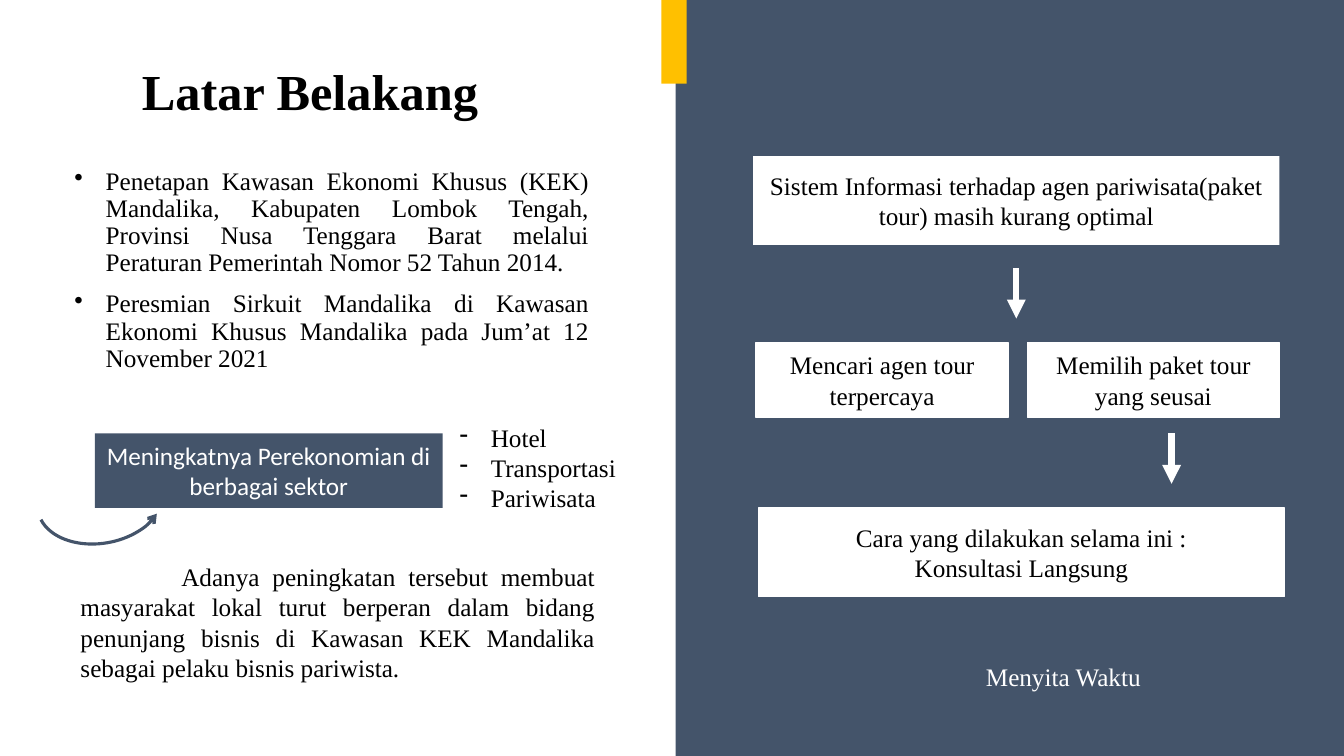
from lxml import etree
from pptx import Presentation
from pptx.dml.color import RGBColor
from pptx.enum import shapes, text
from pptx.oxml.ns import qn
from pptx.util import Inches, Pt

SERIF, SANS = "Times New Roman", "Calibri"
SLATE, GOLD, WHITE, BLACK = "44546A", "FFC000", "FFFFFF", "000000"
LEFT, CENTER, JUSTIFY = (text.PP_ALIGN.LEFT, text.PP_ALIGN.CENTER,
                         text.PP_ALIGN.JUSTIFY)

# Content: lines of text and (left, top, width, height) in inches
TITLE = "Latar Belakang"
BACKGROUND = [
    "Penetapan Kawasan Ekonomi Khusus (KEK) Mandalika, Kabupaten Lombok Tengah, "
    "Provinsi Nusa Tenggara Barat melalui Peraturan Pemerintah Nomor 52 Tahun 2014.",
    "Peresmian Sirkuit Mandalika di Kawasan Ekonomi Khusus Mandalika pada "
    "Jum’at 12 November 2021",
]
GROWTH = ["Meningkatnya Perekonomian di berbagai sektor"]
SECTORS = ["Hotel", "Transportasi", "Pariwisata"]
IMPACT = ["Adanya peningkatan tersebut membuat masyarakat lokal turut berperan "
          "dalam bidang penunjang bisnis di Kawasan KEK Mandalika sebagai pelaku "
          "bisnis pariwista."]
FLOW_BOXES = [
    (["Sistem Informasi terhadap agen pariwisata(paket tour) masih kurang optimal"],
     (7.47, 1.55, 5.22, 0.88), None),
    (["Mencari agen tour terpercaya"], (7.5, 3.4, 2.5, 0.74), WHITE),
    (["Memilih paket tour yang seusai"], (10.19, 3.4, 2.5, 0.74), WHITE),
    (["Cara yang dilakukan selama ini :", "Konsultasi Langsung"],
     (7.52, 5.04, 5.22, 0.88), WHITE),
]
FLOW_ARROWS = [(10.08, 2.66), (11.62, 4.3)]
ARROW_LENGTH = 0.5
OUTCOME = ["Menyita Waktu"]


def color(hex_code):
    return RGBColor.from_string(hex_code)


def inches(box):
    return [Inches(length) for length in box]


def write(frame, lines, ink, align=LEFT, font=SERIF, bullet=None, indent=0,
          spacing=None, before=0):
    frame.word_wrap = True
    for number, line in enumerate(lines):
        paragraph = frame.paragraphs[0] if number == 0 else frame.add_paragraph()
        paragraph.text = line
        paragraph.alignment = align
        paragraph.line_spacing = spacing
        paragraph.space_before = Pt(before)
        paragraph.font.name = font
        paragraph.font.size = Pt(18)
        paragraph.font.color.rgb = color(ink)
        properties = paragraph._p.get_or_add_pPr()
        properties.set("indent", str(Inches(indent)))
        if bullet:
            properties.set("marL", str(Inches(-indent)))
            mark = etree.Element(qn("a:buChar"), char=bullet)
            properties.find(qn("a:defRPr")).addprevious(mark)


def add_text(box, lines, ink=BLACK, **style):
    write(slide.shapes.add_textbox(*inches(box)).text_frame, lines, ink, **style)


def add_box(box, fill, outline=None, lines=(), ink=BLACK, font=SERIF):
    panel = slide.shapes.add_shape(shapes.MSO_SHAPE.RECTANGLE, *inches(box))
    panel.shadow.inherit = False
    panel.fill.solid()
    panel.fill.fore_color.rgb = color(fill)
    if outline:
        panel.line.color.rgb = color(outline)
        panel.line.width = Pt(1)
    else:
        panel.line.fill.background()
    panel.text_frame.vertical_anchor = text.MSO_ANCHOR.MIDDLE
    write(panel.text_frame, lines, ink, CENTER, font)


def style_arrow(line, ink, width, head):
    line.color.rgb = color(ink)
    line.width = Pt(width)
    etree.SubElement(line._get_or_add_ln(), qn("a:tailEnd"), type=head)


prs = Presentation()
prs.slide_width, prs.slide_height = Inches(13.33), Inches(7.5)
slide = prs.slides.add_slide(prs.slide_layouts[5])

# Title
title = slide.shapes.title
title.left, title.top, title.width, title.height = inches((0.98, 0.43, 4.19, 0.82))
write(title.text_frame, [TITLE], BLACK, CENTER, spacing=0.9)
title.text_frame.auto_size = text.MSO_AUTO_SIZE.NONE
title.text_frame.vertical_anchor = text.MSO_ANCHOR.BOTTOM
title_font = title.text_frame.paragraphs[0].font
title_font.size, title_font.bold = Pt(36), True

# Left half: background, growing sectors and their impact
add_text((0.64, 1.62, 5.3, 2.34), BACKGROUND, align=JUSTIFY, bullet="•",
         indent=-0.31, spacing=0.9, before=10)
add_box((0.94, 4.3, 3.45, 0.74), SLATE, lines=GROWTH, ink=WHITE, font=SANS)
add_text((4.46, 4.14, 1.87, 1.01), SECTORS, bullet="-", indent=-0.31)
add_text((0.7, 5.52, 5.3, 1.31), IMPACT, align=JUSTIFY, indent=1)

# Curved arrow up to the growth box
curve = slide.shapes.add_shape(shapes.MSO_SHAPE.ARC, *inches((0.57, 4.34, 0.85, 1.25)))
curve.shadow.inherit = False
curve.adjustments[0], curve.adjustments[1] = 166.87, 40.24
curve.rotation = 80.2
curve._element.spPr.find(qn("a:xfrm")).set("flipV", "1")
curve.fill.background()
style_arrow(curve.line, SLATE, 2.25, "arrow")

# Right half: panel, flow of boxes and arrows, outcome
add_box((6.7, -0.03, 6.65, 7.53), SLATE)
for lines, box, outline in FLOW_BOXES:
    add_box(box, WHITE, outline, lines)
for x, y in FLOW_ARROWS:
    arrow = slide.shapes.add_connector(shapes.MSO_CONNECTOR.STRAIGHT,
                                       *inches((x, y, x, y + ARROW_LENGTH)))
    style_arrow(arrow.line, WHITE, 4.5, "triangle")
    etree.SubElement(arrow._element.spPr, qn("a:effectLst"))
add_text((9.68, 6.51, 2.2, 0.4), OUTCOME, WHITE)

# Gold tab at the top of the divide
add_box((6.56, -0.23, 0.25, 1.06), GOLD)

prs.save("out.pptx")
